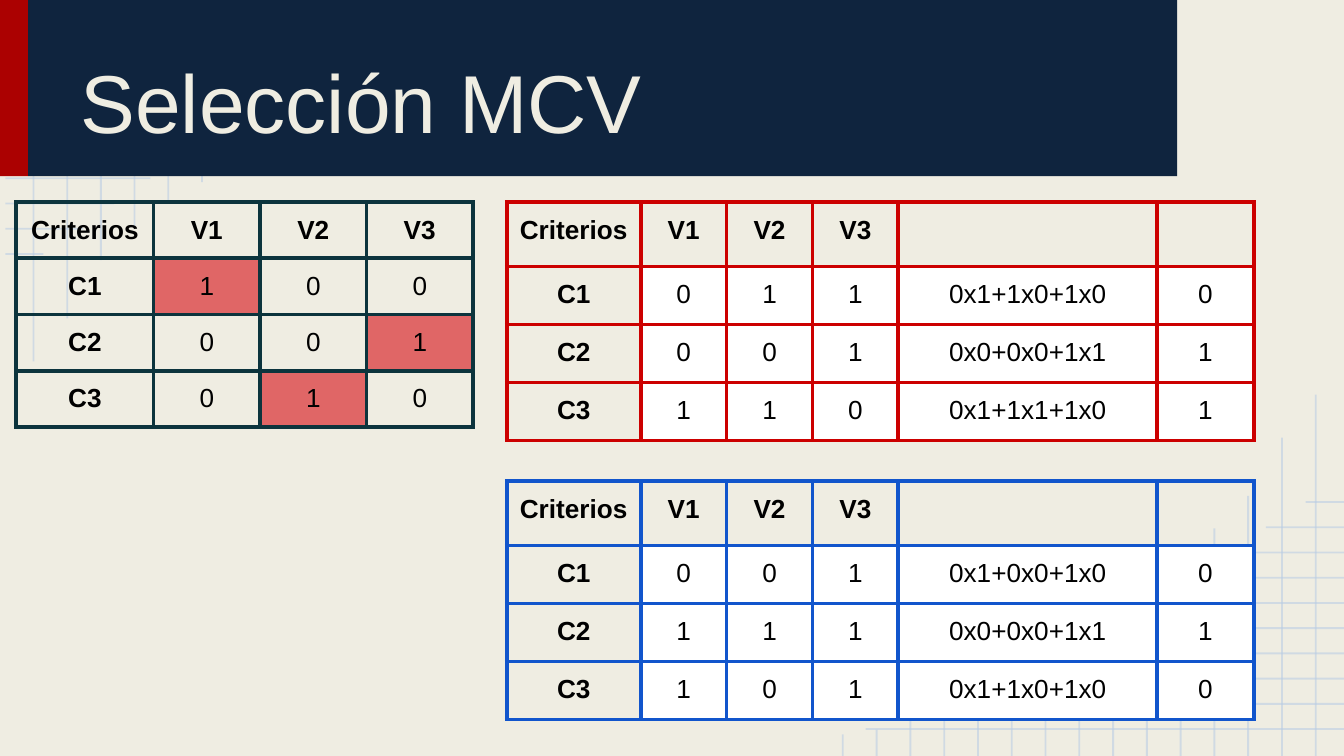
from collections import namedtuple
from lxml.etree import SubElement
from pptx import Presentation
from pptx.dml.color import RGBColor
from pptx.enum.shapes import MSO_CONNECTOR, MSO_SHAPE
from pptx.enum.text import MSO_ANCHOR, MSO_AUTO_SIZE, PP_ALIGN
from pptx.oxml import parse_xml
from pptx.oxml.ns import nsdecls, qn
from pptx.util import Inches, Pt

COLORS = {
    "paper": "EFEDE2", "grid": "B7CCE4", "red_band": "AB0101", "navy_band": "0F243E",
    "green": "0C343D", "red": "CC0000", "blue": "1155CC",
    "selected": "E06666", "white": "FFFFFF", "text": "000000",
}
FONT = "Arial"
Box = namedtuple("Box", "left top width height")

presentation = Presentation()
presentation.slide_width = Inches(10)
presentation.slide_height = Inches(10) * 9 // 16


def color(name):
    return RGBColor.from_string(COLORS[name])


def percent_box(left, top, width, height):
    horizontal = presentation.slide_width / 100
    vertical = presentation.slide_height / 100
    return Box(round(left * horizontal), round(top * vertical),
               round(width * horizontal), round(height * vertical))


def format_runs(paragraph, size, color_name, bold=False):
    for run in paragraph.runs:
        run.font.name = FONT
        run.font.size = Pt(size)
        run.font.bold = bold
        run.font.color.rgb = color(color_name)


def add_grid_line(slide, start, end):
    connector = slide.shapes.add_connector(
        MSO_CONNECTOR.STRAIGHT, *(round(value) for value in start + end))
    connector.line.width = Pt(1)
    connector.line.color.rgb = color("grid")
    properties = connector.element.spPr
    SubElement(next(properties.iter(qn("a:srgbClr"))), qn("a:alpha"), val="54000")
    SubElement(properties, qn("a:effectLst"))


def add_corner_grid(slide, box, direction):
    row_lengths = [100, 82, 66.76, 57.18, 45.92, 37.46, 30.42, 22.82, 16.34, 8]
    column_lengths = [100, 88.1, 72, 63, 56, 50.4, 43, 37.3, 31.2, 26.8,
                      20.8, 14.3, 10.4, 7.3, 6]
    left = box.left if direction > 0 else box.left + box.width
    top = box.top if direction > 0 else box.top + box.height

    def point(across, down):
        return (left + direction * box.width * across / 100,
                top + direction * box.height * down / 100)

    for index, length in enumerate(row_lengths):
        down = 7.45 + 6.98 * index
        add_grid_line(slide, point(0, down), point(length, down))
    for index, length in enumerate(column_lengths):
        across = 5.9 + 7.06 * index
        add_grid_line(slide, point(across, 0), point(across, length))


def add_band(slide, box, color_name):
    band = slide.shapes.add_shape(MSO_SHAPE.RECTANGLE, *box)
    band.shadow.inherit = False
    band.fill.solid()
    band.fill.fore_color.rgb = color(color_name)
    band.line.fill.background()
    return band


def add_header(slide, box, text):
    red_width = round(box.width * 0.024)
    add_band(slide, Box(box.left, box.top, red_width, box.height), "red_band")
    navy = add_band(slide, Box(box.left + red_width, box.top,
                               box.width - red_width, box.height), "navy_band")
    title = slide.shapes.title
    title.left = box.left + round(box.width * 0.057)
    title.top = box.top + round(box.height * 0.09)
    title.width = round(box.width * 0.913)
    title.height = round(box.height * 0.84)
    frame = title.text_frame
    frame.text = text
    frame.word_wrap = True
    frame.auto_size = MSO_AUTO_SIZE.NONE
    frame.vertical_anchor = MSO_ANCHOR.BOTTOM
    frame.margin_left = frame.margin_right = Inches(0.1)
    frame.margin_top = frame.margin_bottom = Inches(0.1)
    frame.paragraphs[0].alignment = PP_ALIGN.LEFT
    format_runs(frame.paragraphs[0], 44, "paper")
    navy.element.addnext(title.element)


def add_borders(cell, color_name):
    properties = cell._tc.get_or_add_tcPr()
    for index, side in enumerate(("lnL", "lnR", "lnT", "lnB")):
        properties.insert(index, parse_xml(
            f'<a:{side} {nsdecls("a")} w="{Pt(2.25)}"><a:solidFill>'
            f'<a:srgbClr val="{COLORS[color_name]}"/></a:solidFill>'
            f'<a:prstDash val="solid"/></a:{side}>'))


def format_cell(cell, text, bold, fill, border):
    cell.margin_left = cell.margin_right = Inches(0.09)
    cell.margin_top = cell.margin_bottom = Inches(0.1 if text else 0.05)
    if text:
        cell.text_frame.text = text
        paragraph = cell.text_frame.paragraphs[0]
        paragraph.alignment = PP_ALIGN.CENTER
        format_runs(paragraph, 14, "text", bold)
    if fill:
        cell.fill.solid()
        cell.fill.fore_color.rgb = color(fill)
    else:
        cell.fill.background()
    add_borders(cell, border)


def add_criteria_table(slide, box, rows, columns, heights, border, body_fill):
    table = slide.shapes.add_table(len(rows), len(columns), *box).table
    table.first_row = False
    table.horz_banding = False
    for column, share in zip(table.columns, columns):
        column.width = round(box.width * share / sum(columns))
    for row, share in zip(table.rows, heights):
        row.height = round(box.height * share / sum(heights))
    for row_index, values in enumerate(rows):
        for column_index, text in enumerate(values):
            heading = row_index == 0 or column_index == 0
            fill = None if heading else body_fill(text)
            format_cell(table.cell(row_index, column_index), text, heading, fill, border)


def selected_fill(text):
    return "selected" if text == "1" else None


def white_fill(text):
    return "white"


def add_selection_slide():
    slide = presentation.slides.add_slide(presentation.slide_layouts[5])
    slide.background.fill.solid()
    slide.background.fill.fore_color.rgb = color("paper")
    add_corner_grid(slide, percent_box(0.4, 0, 35.5, 47.8), 1)
    add_corner_grid(slide, percent_box(64.4, 52.2, 35.6, 47.8), -1)
    add_header(slide, percent_box(0, -0.18, 87.6, 23.49), "Selección MCV")

    header = ["Criterios", "V1", "V2", "V3"]
    selection = [header, ["C1", "1", "0", "0"], ["C2", "0", "0", "1"], ["C3", "0", "1", "0"]]
    add_criteria_table(slide, percent_box(1.2, 26.7, 34, 29.7), selection,
                       [1.02, 0.79, 0.79, 0.79], [1] * 4, "green", selected_fill)

    products = [
        (26.7, "red", [["C1", "0", "1", "1", "0x1+1x0+1x0", "0"],
                       ["C2", "0", "0", "1", "0x0+0x0+1x1", "1"],
                       ["C3", "1", "1", "0", "0x1+1x1+1x0", "1"]]),
        (63.6, "blue", [["C1", "0", "0", "1", "0x1+0x0+1x0", "0"],
                        ["C2", "1", "1", "1", "0x0+0x0+1x1", "1"],
                        ["C3", "1", "0", "1", "0x1+1x0+1x0", "0"]]),
    ]
    for top, border, rows in products:
        add_criteria_table(slide, percent_box(37.7, top, 55.6, 31.6),
                           [header + ["", ""]] + rows,
                           [1, 0.64, 0.64, 0.64, 1.93, 0.72],
                           [0.48, 0.43, 0.43, 0.43], border, white_fill)


add_selection_slide()
presentation.save("out.pptx")
